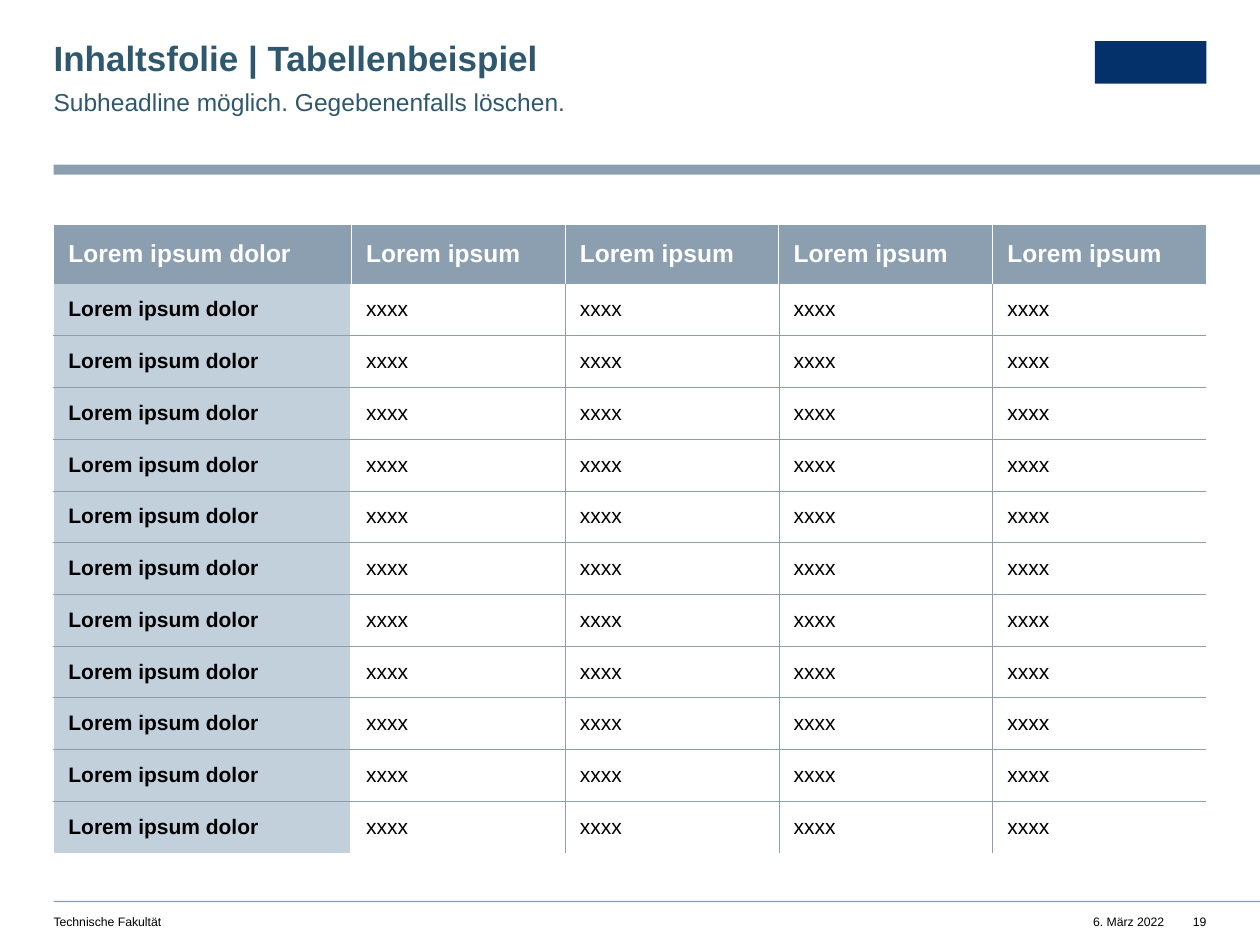
from dataclasses import dataclass

from lxml import etree
from pptx import Presentation
from pptx.dml.color import RGBColor
from pptx.enum.shapes import MSO_SHAPE
from pptx.enum.text import MSO_ANCHOR, MSO_AUTO_SIZE, PP_ALIGN
from pptx.oxml.ns import qn
from pptx.util import Cm, Pt

RECT = MSO_SHAPE.RECTANGLE
TOP, MIDDLE = MSO_ANCHOR.TOP, MSO_ANCHOR.MIDDLE
LEFT, RIGHT = PP_ALIGN.LEFT, PP_ALIGN.RIGHT
FIXED = MSO_AUTO_SIZE.NONE
PLAIN_STYLE = "{2D5ABB26-0587-4C30-8999-92F81FD0307C}"


@dataclass(frozen=True)
class Theme:
    font: str = "Arial"
    steel: str = "8C9FB1"
    pale: str = "C2D0DC"
    petrol: str = "2F586E"
    navy: str = "04316A"
    white: str = "FFFFFF"
    black: str = "000000"
    title: int = 20
    head: int = 14
    cell: int = 12
    foot: int = 7


@dataclass(frozen=True)
class Box:
    """A place on the slide, in centimetres."""
    left: float
    top: float
    width: float
    height: float

    def sizes(self):
        return Cm(self.left), Cm(self.top), Cm(self.width), Cm(self.height)


@dataclass(frozen=True)
class Style:
    size: int
    color: str
    bold: bool = False


@dataclass(frozen=True)
class Block:
    fill: str
    box: Box


@dataclass(frozen=True)
class Note:
    text: str
    box: Box
    align: PP_ALIGN


THEME = Theme()
WIDE, HIGH = 25.4, 19.05
EDGE = 1.08
SPAN = WIDE - 2 * EDGE

BLOCKS = [
    Block(THEME.steel, Box(EDGE, 3.32, WIDE - EDGE, 0.2)),
    Block(THEME.steel, Box(EDGE, 18.16, WIDE - EDGE, 0.03)),
    Block(THEME.navy, Box(22.07, 0.83, 2.25, 0.86)),
]
NOTES = [
    Note("Technische Fakultät", Box(EDGE, 18.44, 11.4, 0.3), LEFT),
    Note("6. März 2022", Box(21.67, 18.44, 1.8, 0.3), RIGHT),
    Note("19", Box(23.82, 18.44, 0.5, 0.3), RIGHT),
]

GRID = Box(EDGE, 4.53, SPAN, 12.67)
FIRST_COL, FIRST_ROW = 6.0, 1.19
HEAD = ["Lorem ipsum dolor"] + ["Lorem ipsum"] * 4
ROWS = [HEAD] + [["Lorem ipsum dolor"] + ["xxxx"] * 4] * 11


def add_run(para, text: str, style: Style) -> None:
    run = para.add_run()
    run.text = text
    font = run.font
    font.name, font.size, font.bold = THEME.font, Pt(style.size), style.bold
    font.color.rgb = RGBColor.from_string(style.color)


def add_block(slide, block: Block) -> None:
    shape = slide.shapes.add_shape(RECT, *block.box.sizes())
    shape.shadow.inherit = False
    shape.fill.solid()
    shape.fill.fore_color.rgb = RGBColor.from_string(block.fill)
    shape.line.fill.background()


def write(shape, text: str, style: Style, align=LEFT, inset: float = 0):
    """Fill a text shape and return its paragraph."""
    frame = shape.text_frame
    frame.word_wrap, frame.auto_size = True, FIXED
    frame.vertical_anchor = TOP
    frame.margin_left = frame.margin_top = frame.margin_bottom = 0
    frame.margin_right = Cm(inset)
    para = frame.paragraphs[0]
    para.alignment = align
    para.space_before = Pt(0)
    add_run(para, text, style)
    return para


def add_note(slide, note: Note) -> None:
    shape = slide.shapes.add_textbox(*note.box.sizes())
    write(shape, note.text, Style(THEME.foot, THEME.black), note.align)


def move(shape, box: Box) -> None:
    shape.left, shape.top, shape.width, shape.height = box.sizes()


def add_heads(slide) -> None:
    title, spare, body = slide.placeholders
    spare.element.getparent().remove(spare.element)
    move(title, Box(EDGE, 0.84, 14.25, 0.77))
    para = write(title, "Inhaltsfolie | Tabellenbeispiel",
                 Style(THEME.title, THEME.petrol, True))
    para.line_spacing = 0.9
    move(body, Box(EDGE, 1.7, 14.25, 0.6))
    para = write(body, "Subheadline möglich. Gegebenenfalls löschen.",
                 Style(THEME.head, THEME.petrol), inset=1)
    para.line_spacing, para.space_after = 1.1, Pt(8)


def edges(row: int, col: int) -> dict:
    """Give the colour and width of each side; None means no line."""
    last_row, last_col = row == len(ROWS) - 1, col == len(HEAD) - 1
    thick, thin = (THEME.white, 1), (THEME.steel, 0.25)
    if row == 0:
        inner, top, bottom = (THEME.white, 0.5), thick, None
    else:
        inner = thin
        top = None if row == 1 else thin
        bottom = None if last_row else thin
    left = thick if col == 0 or (col == 1 and row) else inner
    right = thick if col == 0 and row else inner
    return {"L": left, "R": None if last_col else right,
            "T": top, "B": bottom}


def add_edges(cell, sides: dict) -> None:
    props = cell._tc.get_or_add_tcPr()
    for side, pen in sides.items():
        line = etree.SubElement(props, qn(f"a:ln{side}"))
        if pen is None:
            line.set("w", "0")
            etree.SubElement(line, qn("a:noFill"))
            continue
        color, width = pen
        line.set("w", str(Pt(width)))
        fill = etree.SubElement(line, qn("a:solidFill"))
        etree.SubElement(fill, qn("a:srgbClr")).set("val", color)


def fill_cell(cell, row: int, col: int) -> None:
    add_edges(cell, edges(row, col))
    if row and col:
        cell.fill.background()
    else:
        cell.fill.solid()
        color = THEME.pale if row else THEME.steel
        cell.fill.fore_color.rgb = RGBColor.from_string(color)
    cell.vertical_anchor = MIDDLE
    cell.margin_left = cell.margin_right = Cm(0.3)
    cell.margin_top = cell.margin_bottom = Cm(0.1)
    style = (Style(THEME.cell, THEME.black, col == 0) if row
             else Style(THEME.head, THEME.white, True))
    add_run(cell.text_frame.paragraphs[0], ROWS[row][col], style)


def add_grid(slide) -> None:
    frame = slide.shapes.add_table(len(ROWS), len(HEAD), *GRID.sizes())
    table = frame.table
    table.horz_banding = False
    table.first_col = True
    table._tbl.tblPr.find(qn("a:tableStyleId")).text = PLAIN_STYLE
    for i, col in enumerate(table.columns):
        rest = (GRID.width - FIRST_COL) / (len(HEAD) - 1)
        col.width = Cm(rest if i else FIRST_COL)
    for i, row in enumerate(table.rows):
        rest = (GRID.height - FIRST_ROW) / (len(ROWS) - 1)
        row.height = Cm(rest if i else FIRST_ROW)
        for j, cell in enumerate(row.cells):
            fill_cell(cell, i, j)


def main() -> None:
    deck = Presentation()
    deck.slide_width, deck.slide_height = Cm(WIDE), Cm(HIGH)
    slide = deck.slides.add_slide(deck.slide_layouts[7])
    for block in BLOCKS:
        add_block(slide, block)
    for note in NOTES:
        add_note(slide, note)
    add_heads(slide)
    add_grid(slide)
    deck.save("out.pptx")


if __name__ == "__main__":
    main()
